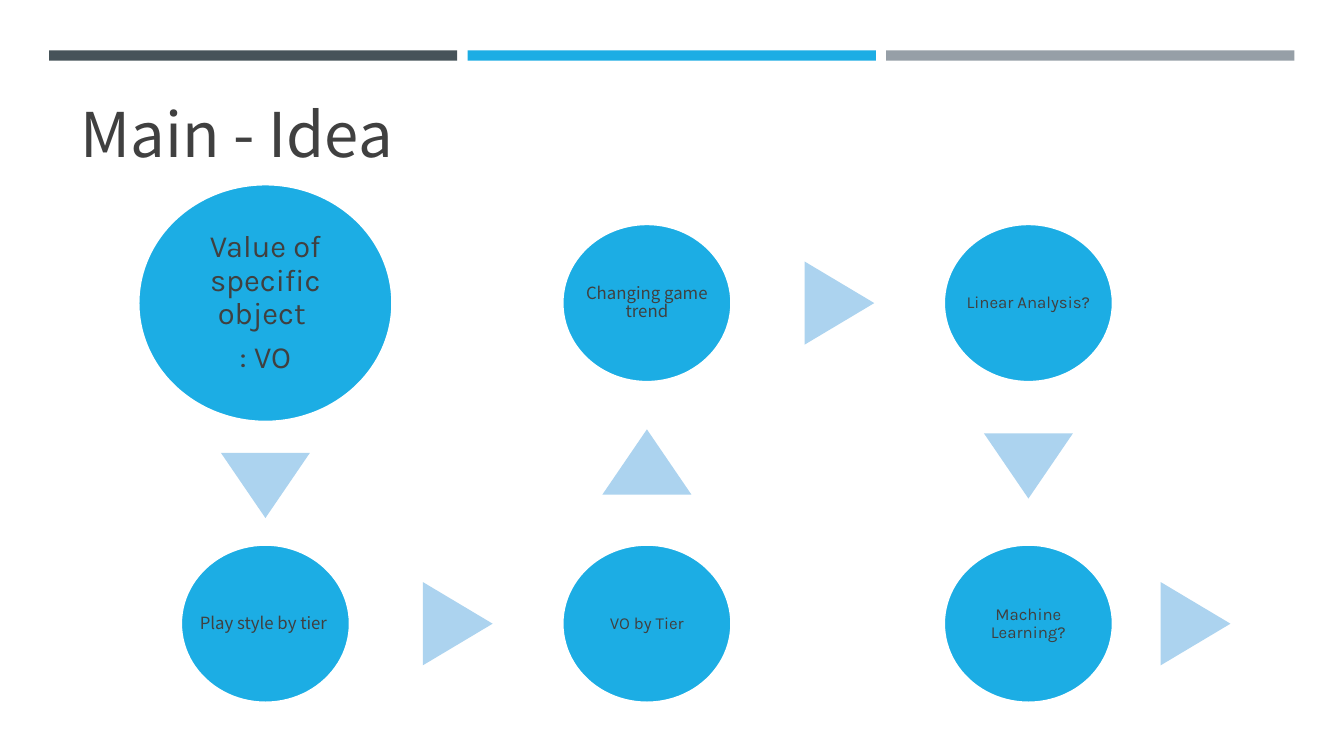
from pptx import Presentation
from pptx.dml.color import RGBColor
from pptx.enum.shapes import MSO_SHAPE as SHAPE
from pptx.enum.text import MSO_ANCHOR as ANCHOR, PP_ALIGN as ALIGN
from pptx.util import Pt

COLORS = {
    "slate": "465359", "blue": "1CADE4", "gray": "969FA7",
    "arrow": "ACD3EF", "text": "404040", "white": "FFFFFF",
}
NOTO, KARLA = "Noto Sans CJK KR", "Karla"

# Centres of the three columns and two rows of the flow
COLUMNS = [189.6 + 272.5 * index for index in range(3)]
TOP, BOTTOM = 216.5, 445.5
BIG, SMALL = (181.6, 169.8), (120.8, 113)

# Column, row, size, font, font size, paragraphs (\v breaks a line)
STEPS = [
    (0, TOP, BIG, KARLA, 22, ["Value of\vspecific\vobject ", ": VO"]),
    (0, BOTTOM, SMALL, NOTO, 12, ["Play style by tier "]),
    (1, BOTTOM, SMALL, KARLA, 12, ["VO by Tier"]),
    (1, TOP, SMALL, NOTO, 12, ["Changing game\vtrend"]),
    (2, TOP, SMALL, KARLA, 12, ["Linear Analysis?"]),
    (2, BOTTOM, SMALL, KARLA, 12, ["Machine\vLearning?"]),
]
# Centre and rotation
ARROWS = [
    (COLUMNS[0], 346.7, 180), (327, BOTTOM, 90), (COLUMNS[1], 330, 0),
    (599.6, TOP, 90), (COLUMNS[2], 332.8, 180), (854, BOTTOM, 90),
]


def color(name):
    return RGBColor.from_string(COLORS[name])


def add_filled(slide, kind, left, top, width, height, fill):
    shape = slide.shapes.add_shape(kind, Pt(left), Pt(top), Pt(width), Pt(height))
    shape.shadow.inherit = False
    shape.fill.solid()
    shape.fill.fore_color.rgb = color(fill)
    shape.line.fill.background()
    return shape


def set_frame(frame, **values):
    margins = dict.fromkeys(
        ("margin_left", "margin_top", "margin_right", "margin_bottom"), 0)
    for name, value in {**margins, **values}.items():
        setattr(frame, name, value)


def set_paragraph(paragraph, text, font, size, **values):
    paragraph.text = text
    for name, value in values.items():
        setattr(paragraph, name, value)
    for run in paragraph.runs:
        run.font.name = font
        run.font.size = Pt(size)
        run.font.color.rgb = color("text")


def add_bars(slide):
    for index, fill in enumerate(("slate", "blue", "gray")):
        add_filled(slide, SHAPE.RECTANGLE, 35 + 299 * index, 36, 291.6, 7.4, fill)


def add_title(slide, text):
    box = slide.shapes.add_textbox(Pt(50.4), Pt(64.8), Pt(262), Pt(60.5))
    set_frame(box.text_frame, word_wrap=True, margin_left=Pt(7.2),
              margin_top=Pt(3.6), margin_right=Pt(7.2), margin_bottom=Pt(3.6))
    set_paragraph(box.text_frame.paragraphs[0], text, NOTO, 44)


def add_step(slide, column, center_y, size, font, font_size, texts):
    width, height = size
    circle = add_filled(slide, SHAPE.OVAL, COLUMNS[column] - width / 2,
                        center_y - height / 2, width, height, "blue")
    circle.line.color.rgb = color("white")
    circle.line.width = Pt(1.75)
    frame = circle.text_frame
    set_frame(frame, word_wrap=False, vertical_anchor=ANCHOR.MIDDLE)
    for index, text in enumerate(texts):
        paragraph = frame.add_paragraph() if index else frame.paragraphs[0]
        set_paragraph(paragraph, text, font, font_size, alignment=ALIGN.CENTER,
                      line_spacing=0.9, space_after=Pt(0.35 * font_size))


def add_arrow(slide, center_x, center_y, rotation):
    width, height = (59.4, 49.8) if rotation == 90 else (63.6, 46.6)
    triangle = add_filled(slide, SHAPE.ISOSCELES_TRIANGLE, center_x - width / 2,
                          center_y - height / 2, width, height, "arrow")
    triangle.rotation = rotation


def main():
    presentation = Presentation()
    presentation.slide_width, presentation.slide_height = Pt(960), Pt(540)
    slide = presentation.slides.add_slide(presentation.slide_layouts[6])
    add_bars(slide)
    add_title(slide, "Main - Idea")
    for step, arrow in zip(STEPS, ARROWS):
        add_step(slide, *step)
        add_arrow(slide, *arrow)
    presentation.save("out.pptx")


if __name__ == "__main__":
    main()
